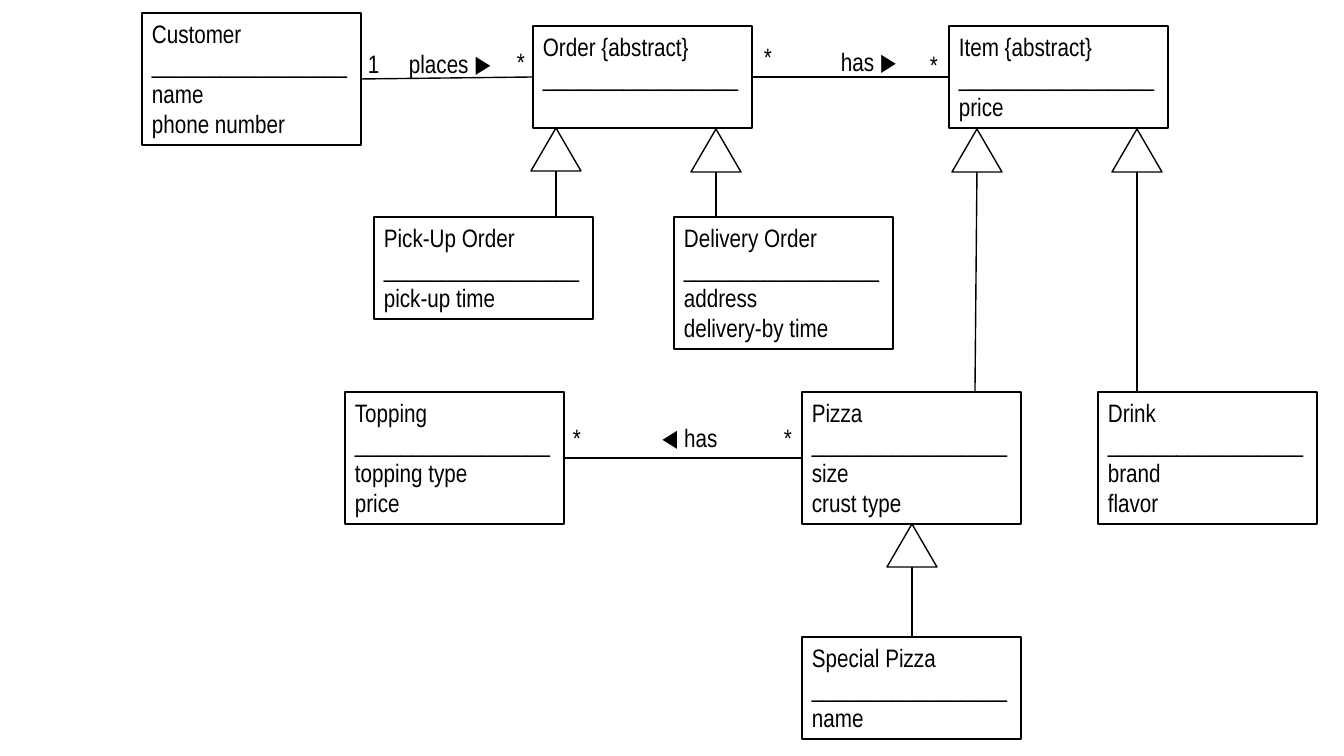
from pptx import Presentation
from pptx.dml.color import RGBColor
from pptx.enum.shapes import MSO_CONNECTOR, MSO_SHAPE
from pptx.enum.text import MSO_ANCHOR, PP_ALIGN
from pptx.oxml.ns import qn
from pptx.util import Pt
from lxml import etree

RECT = MSO_SHAPE.RECTANGLE
TRIANGLE = MSO_SHAPE.ISOSCELES_TRIANGLE
STRAIGHT = MSO_CONNECTOR.STRAIGHT
TOP = MSO_ANCHOR.TOP
LEFT = PP_ALIGN.LEFT

EMU_PER_PX = 914400 / 100.8
SLIDE_W, SLIDE_H = 1344, 756
BLACK = "000000"
FONT = "Arial Narrow"
RULE = "_" * 17
BOX_W, LINE_H, BOX_PAD = 219, 30, 12
TRI_W, TRI_H = 50, 43
LABEL_H = 40

# Class name, attributes, left, top
CLASSES = [
    ("Customer", ["name", "phone number"], 142, 13),
    ("Order {abstract}", [], 533, 26),
    ("Item {abstract}", ["price"], 949, 26),
    ("Pick-Up Order", ["pick-up time"], 374, 217),
    ("Delivery Order", ["address", "delivery-by time"], 674, 217),
    ("Topping", ["topping type", "price"], 345, 392),
    ("Pizza", ["size", "crust type"], 802, 392),
    ("Drink", ["brand", "flavor"], 1098, 392),
    ("Special Pizza", ["name"], 802, 637),
]

# Apex x, apex y, x and y where the line meets the subclass
GENERALIZATIONS = [
    (556, 128, 556, 217),
    (716, 129, 716, 217),
    (977, 129, 975, 392),
    (1137, 129, 1137, 392),
    (912, 524, 912, 637),
]

# Line ends
ASSOCIATIONS = [
    (533, 77, 361, 79),
    (752, 77, 949, 77),
    (802, 458, 564, 458),
]

# Text, left, top, width
LABELS = [
    ("1", 358, 43, 32),
    ("places \u25b6\ufe0e", 399, 43, 114),
    ("*", 507, 41, 28),
    ("*", 754, 36, 28),
    ("has \u25b6\ufe0e", 831, 41, 82),
    ("*", 920, 44, 28),
    ("*", 563, 417, 28),
    ("\u25c0\ufe0e has", 652, 417, 82),
    ("*", 774, 417, 28),
]


def px(*lengths):
    return [round(n * EMU_PER_PX) for n in lengths]


def rgb(color):
    return RGBColor.from_string(color)


def write(tf, lines, size=18, font=FONT, color=BLACK, align=LEFT):
    tf.word_wrap = True
    tf.vertical_anchor = TOP
    for i, line in enumerate(lines):
        p = tf.paragraphs[0] if i == 0 else tf.add_paragraph()
        p.alignment = align
        r = p.add_run()
        r.text = line
        r.font.size = Pt(size)
        r.font.name = font
        r.font.color.rgb = rgb(color)


def set_line(sp):
    sp.line.color.rgb = rgb(BLACK)
    sp.line.width = Pt(1)


def add_outline(slide, kind, x, y, w, h):
    sp = slide.shapes.add_shape(kind, *px(x, y, w, h))
    sp.shadow.inherit = False
    sp.fill.background()
    set_line(sp)
    return sp


def add_line(slide, x1, y1, x2, y2):
    line = slide.shapes.add_connector(STRAIGHT, *px(x1, y1, x2, y2))
    set_line(line)
    etree.SubElement(line._element.spPr, qn("a:effectLst"))


def add_class(slide, name, attributes, x, y):
    # Every box has room for at least one attribute
    rows = 2 + max(1, len(attributes))
    sp = add_outline(slide, RECT, x, y, BOX_W, BOX_PAD + rows * LINE_H)
    write(sp.text_frame, [name, RULE, *attributes])


def add_generalization(slide, x, y, end_x, end_y):
    add_outline(slide, TRIANGLE, x - TRI_W / 2, y, TRI_W, TRI_H)
    add_line(slide, x, y + TRI_H, end_x, end_y)


def add_label(slide, text, x, y, w):
    sp = slide.shapes.add_textbox(*px(x, y, w, LABEL_H))
    write(sp.text_frame, [text])


def main():
    prs = Presentation()
    prs.slide_width, prs.slide_height = px(SLIDE_W, SLIDE_H)
    slide = prs.slides.add_slide(prs.slide_layouts[6])

    for item in CLASSES:
        add_class(slide, *item)
    for item in GENERALIZATIONS:
        add_generalization(slide, *item)
    for item in ASSOCIATIONS:
        add_line(slide, *item)
    for item in LABELS:
        add_label(slide, *item)

    prs.save("out.pptx")


main()
